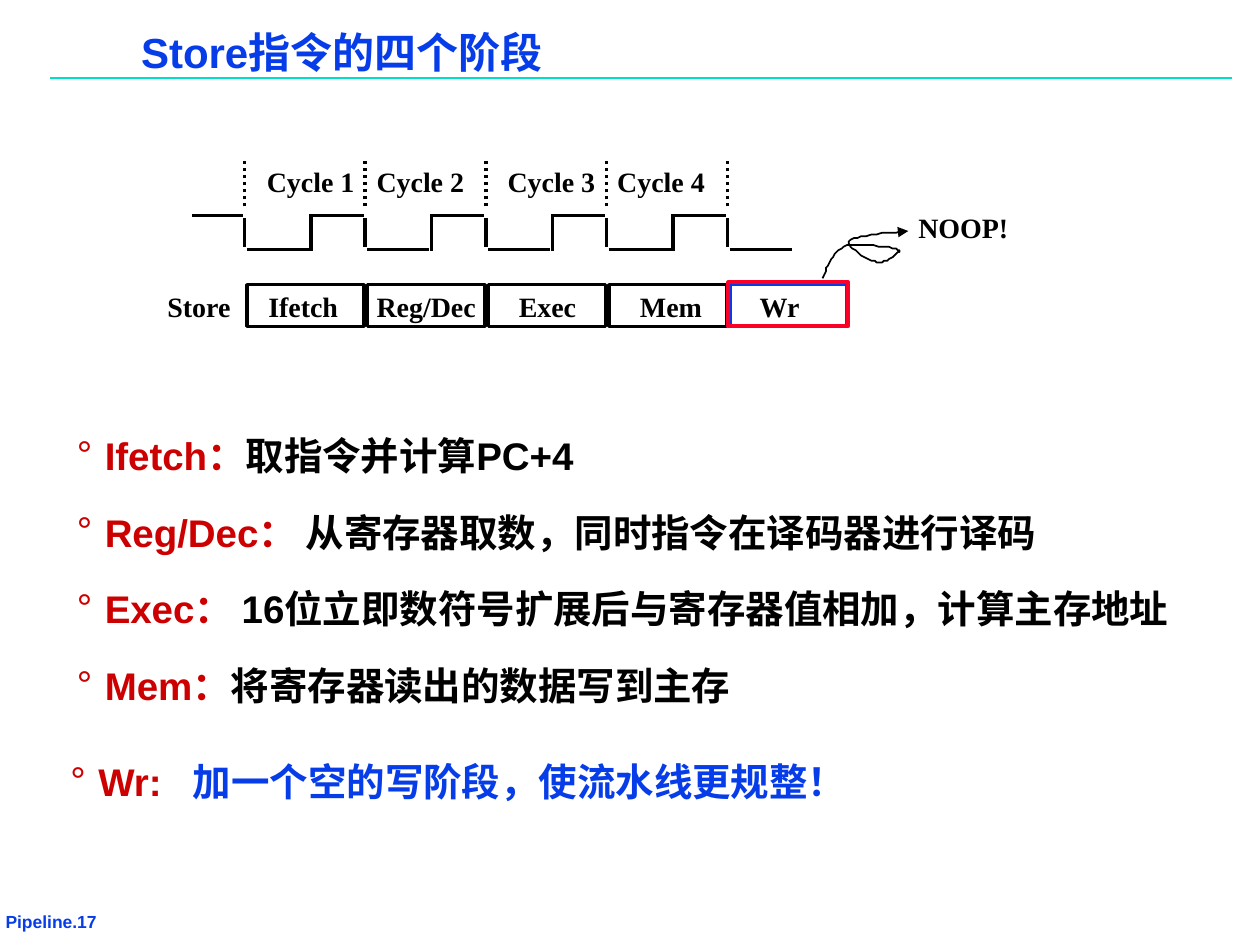
from dataclasses import dataclass
from lxml import etree
from pptx import Presentation
from pptx import util as u
from pptx.dml.color import RGBColor
from pptx.enum import dml, shapes, text
from pptx.oxml import ns

Pt = u.Pt


@dataclass(frozen=True)
class Theme:
    blue: str = "063DE8"
    red: str = "CC0000"
    hot: str = "FC0128"
    teal: str = "00DFCA"
    ink: str = "000000"
    sans: str = "Arial"
    serif: str = "Times New Roman"
    foot: int = 10
    label: int = 16
    body: int = 22
    title: int = 24


T = Theme()
STEP = 69
LEFT = 139.6
HIGH, LOW = 123.1, 142.6

CYCLES = [("Cycle 1", 145.4), ("Cycle 2", 208.1), ("Cycle 3", 283), ("Cycle 4", 345.6)]
STAGES = [("Ifetch", 146.2, 54), ("Reg/Dec", 208.1, 74), ("Exec", 289.4, 46.8),
          ("Mem", 358.6, 49.7), ("Wr", 427, 37.4)]
ITEMS = [
    ("Ifetch：", "取指令并计算PC+4"),
    ("Reg/Dec：", " 从寄存器取数，同时指令在译码器进行译码"),
    ("Exec：", " 16位立即数符号扩展后与寄存器值相加，计算主存地址"),
    ("Mem：", "将寄存器读出的数据写到主存"),
]
CURVE = [
    ((470.2, 159.1), (473, 151.2), (475.2, 144), (482.4, 141.1)),
    ((482.4, 141.1), (489.6, 138.2), (509.8, 141.1), (513.4, 142.6)),
    ((513.4, 142.6), (516.2, 144), (505.4, 150.5), (501.1, 149.8)),
    ((501.1, 149.8), (496.8, 149), (482.4, 140.4), (485.3, 137.5)),
    ((485.3, 137.5), (488.9, 134.6), (504, 133.2), (519.1, 131.8)),
]


def sub(node, tag, **attrs):
    return etree.SubElement(node, ns.qn(tag), attrs)


def tint(font, color):
    font.color.rgb = RGBColor.from_string(color)


def style(para, size, face, color=None):
    font = para.font
    font.size, font.name, font.bold = Pt(size), face, True
    if color:
        tint(font, color)


def place(shape, x, y, w, h):
    shape.left, shape.top, shape.width, shape.height = map(Pt, (x, y, w, h))


def setup(frame, side, edge, wrap):
    frame.margin_left = frame.margin_right = Pt(side)
    frame.margin_top = frame.margin_bottom = Pt(edge)
    frame.word_wrap = wrap
    frame.auto_size = text.MSO_AUTO_SIZE.NONE
    frame.vertical_anchor = text.MSO_ANCHOR.TOP


def label(slide, words, x, y, w, h=26, size=T.label, face=T.serif,
          color=T.ink, side=7.2, edge=3.6):
    box = slide.shapes.add_textbox(Pt(x), Pt(y), Pt(w), Pt(h))
    setup(box.text_frame, side, edge, False)
    para = box.text_frame.paragraphs[0]
    para.text = words
    style(para, size, face, color)


def stroke(shape, color, width):
    shape.line.color.rgb = RGBColor.from_string(color)
    shape.line.width = Pt(width)


def line(slide, x1, y1, x2, y2, color=T.ink, width=2, dots=False):
    wire = slide.shapes.add_connector(
        shapes.MSO_CONNECTOR.STRAIGHT, Pt(x1), Pt(y1), Pt(x2), Pt(y2))
    stroke(wire, color, width)
    if dots:
        wire.line.dash_style = dml.MSO_LINE.ROUND_DOT
    sub(wire.element.spPr, "a:effectLst")


def frame(slide, x, y, w, h, color=T.ink, width=2):
    box = slide.shapes.add_shape(
        shapes.MSO_SHAPE.RECTANGLE, Pt(x), Pt(y), Pt(w), Pt(h))
    box.shadow.inherit = False
    box.fill.background()
    stroke(box, color, width)


def bezier(knots, t):
    rates = ((1 - t) ** 3, 3 * t * (1 - t) ** 2, 3 * t * t * (1 - t), t ** 3)
    return tuple(sum(r * k[axis] for r, k in zip(rates, knots)) for axis in (0, 1))


def arrow(slide, curve, parts=12):
    dots = [bezier(knots, i / parts) for knots in curve for i in range(1, parts + 1)]
    pen = slide.shapes.build_freeform(*curve[0][0], scale=Pt(1))
    pen.add_line_segments(dots, close=False)
    loop = pen.convert_to_shape()
    loop.shadow.inherit = False
    loop.fill.background()
    stroke(loop, T.ink, 1)
    sub(loop.line._get_or_add_ln(), "a:tailEnd", type="triangle")


def bullet(para, head, tail, color, lead, gap=0, stop=None):
    props = para._p.get_or_add_pPr()
    props.set("marL", str(Pt(16)))
    props.set("indent", str(-Pt(16)))
    sub(sub(props, "a:buClr"), "a:srgbClr", val=T.red)
    sub(props, "a:buFont", typeface=T.sans)
    sub(props, "a:buChar", char="°")
    if stop:
        sub(sub(props, "a:tabLst"), "a:tab", pos=str(Pt(stop)), algn="l")
    style(para, T.body, T.sans)
    para.line_spacing = lead
    para.space_before = Pt(gap)
    for words, shade in ((head, T.red), (tail, color)):
        run = para.add_run()
        run.text = words
        tint(run.font, shade)


def title(slide):
    head = slide.shapes.title
    place(head, 75.6, 16.6, 363, 28.8)
    setup(head.text_frame, 5, 2.2, True)
    para = head.text_frame.paragraphs[0]
    para.text = "Store指令的四个阶段"
    para.alignment = text.PP_ALIGN.LEFT
    para.line_spacing = 0.87
    style(para, T.title, T.sans, T.blue)


def body(slide):
    area = slide.placeholders[1]
    place(area, 38.9, 235.4, 657.4, 171.4)
    setup(area.text_frame, 5, 2.2, True)
    for i, (head, tail) in enumerate(ITEMS):
        para = area.text_frame.add_paragraph() if i else area.text_frame.paragraphs[0]
        bullet(para, head, tail, T.ink, 1.35, 8.2 if i else 0)


def remark(slide):
    box = slide.shapes.add_textbox(Pt(35.3), Pt(429.8), Pt(512), Pt(31.7))
    setup(box.text_frame, 5, 2.2, True)
    bullet(box.text_frame.paragraphs[0], "Wr:\t", "加一个空的写阶段，使流水线更规整！",
           T.blue, 1.05, stop=70)


def clock(slide):
    line(slide, LEFT - 30, HIGH, LEFT - 0.8, HIGH)
    for i in range(5):
        x = LEFT + i * STEP
        line(slide, x, 118, x, 90, dots=True)
        line(slide, x, 124.6, x, 141.1)
        line(slide, x + 1.4, LOW, x + 36.8, LOW)
        if i < 4:
            line(slide, x + 38, 143.3, x + 38, 122.4)
            line(slide, x + 39, HIGH, x + 68.2, HIGH)
    for words, x in CYCLES:
        label(slide, words, x, 90.7, 64)


def stages(slide):
    label(slide, "Store", 88.6, 162, 50.4)
    for i, (words, x, w) in enumerate(STAGES):
        color = T.blue if words == "Wr" else T.ink
        frame(slide, LEFT + 1.5 + i * STEP, 162.7, 67, 23.8, color)
        label(slide, words, x, 162, w)
    arrow(slide, CURVE)
    label(slide, "NOOP!", 517.7, 116.6, 65.5)
    frame(slide, 416.2, 161.3, 68.4, 25.2, T.hot, 2.25)


def main():
    deck = Presentation()
    deck.slide_width, deck.slide_height = Pt(720), Pt(540)
    slide = deck.slides.add_slide(deck.slide_layouts[1])
    label(slide, "Pipeline.17", -1.8, 518.4, 99.4, 15.8, T.foot, T.sans, T.blue, 5, 2.2)
    line(slide, 28.8, 44.6, 704.2, 44.6, T.teal, 1)
    title(slide)
    body(slide)
    clock(slide)
    stages(slide)
    remark(slide)
    deck.save("out.pptx")


if __name__ == "__main__":
    main()
